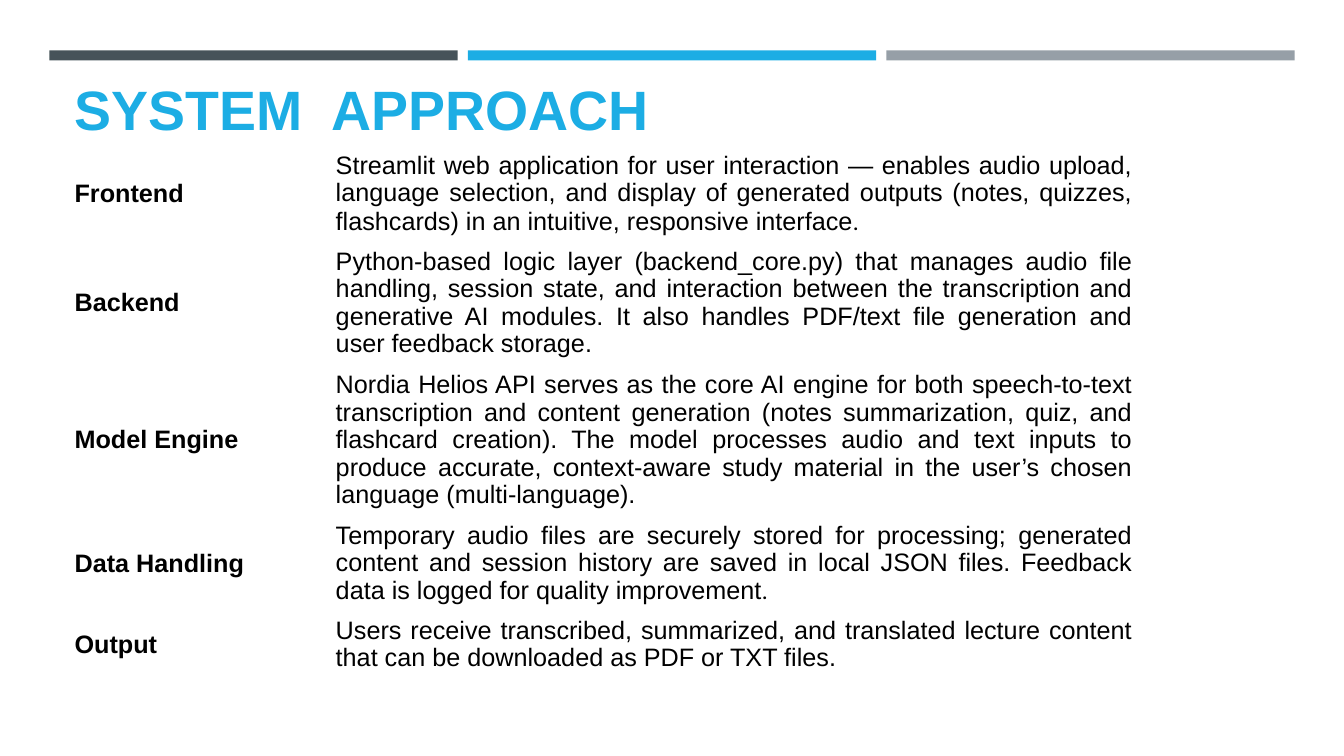
"""Build the System Approach slide: three header bars, a title and a component table."""
from dataclasses import dataclass

from pptx import Presentation
from pptx.dml.color import RGBColor
from pptx.enum.shapes import MSO_SHAPE
from pptx.enum.text import MSO_ANCHOR, MSO_AUTO_SIZE, PP_ALIGN
from pptx.util import Pt

RECTANGLE = MSO_SHAPE.RECTANGLE
BOTTOM, MIDDLE = MSO_ANCHOR.BOTTOM, MSO_ANCHOR.MIDDLE
LEFT, JUSTIFY = PP_ALIGN.LEFT, PP_ALIGN.JUSTIFY
NO_AUTOFIT = MSO_AUTO_SIZE.NONE
EMU_PER_PX = 9144
TITLE_ONLY = 5


@dataclass(frozen=True)
class Theme:
    slate: str = "465359"
    blue: str = "1CADE4"
    grey: str = "969FA7"
    black: str = "000000"
    font: str = "Arial"
    stop_font: str = "Roboto"
    title_size: float = 39.6
    body_size: float = 18
    line_spacing: float = 0.97


THEME = Theme()


def px(length):
    return length * EMU_PER_PX


def format_run(run, size, color, bold, font=THEME.font):
    run.font.name = font
    run.font.size = Pt(size)
    run.font.bold = bold
    run.font.color.rgb = RGBColor.from_string(color)


presentation = Presentation()
presentation.slide_width = px(1333)
presentation.slide_height = px(750)
slide = presentation.slides.add_slide(presentation.slide_layouts[TITLE_ONLY])

for index, color in enumerate((THEME.slate, THEME.blue, THEME.grey)):
    bar = slide.shapes.add_shape(RECTANGLE, px(49 + 415 * index), px(50), px(405), px(10))
    bar.shadow.inherit = False
    bar.fill.solid()
    bar.fill.fore_color.rgb = RGBColor.from_string(color)
    bar.line.fill.background()

title = slide.shapes.title
title.left, title.top, title.width, title.height = px(64), px(87), px(1206), px(58)
title_frame = title.text_frame
title_frame.text = "SYSTEM  APPROACH"
title_frame.auto_size = NO_AUTOFIT
title_frame.vertical_anchor = BOTTOM
title_paragraph = title_frame.paragraphs[0]
title_paragraph.alignment = LEFT
format_run(title_paragraph.runs[0], THEME.title_size, THEME.blue, True)

components = [
    ("Frontend", 95, "Streamlit web application for user interaction — enables audio upload, "
     "language selection, and display of generated outputs (notes, quizzes, flashcards) "
     "in an intuitive, responsive interface", "."),
    ("Backend", 122, "Python-based logic layer (backend_core.py) that manages audio file handling, "
     "session state, and interaction between the transcription and generative AI modules. "
     "It also handles PDF/text file generation and user feedback storage.", ""),
    ("Model Engine", 150, "Nordia Helios API serves as the core AI engine for both speech-to-text "
     "transcription and content generation (notes summarization, quiz, and flashcard creation). "
     "The model processes audio and text inputs to produce accurate, context-aware study "
     "material in the user’s chosen language (multi-language).", ""),
    ("Data Handling", 95, "Temporary audio files are securely stored for processing; generated "
     "content and session history are saved in local JSON files. Feedback data is logged "
     "for quality improvement", "."),
    ("Output", 66, "Users receive transcribed, summarized, and translated lecture content "
     "that can be downloaded as PDF or TXT files.", ""),
]
table_height = sum(height for _, height, _, _ in components)
table = slide.shapes.add_table(
    len(components), 2, px(64), px(145), px(1069), px(table_height)).table
table.first_row = False
table.horz_banding = False
table.columns[0].width = px(259)
table.columns[1].width = px(810)

for row, (name, height, description, stop) in enumerate(components):
    table.rows[row].height = px(height)
    for column, text in enumerate((name, description)):
        cell = table.cell(row, column)
        cell.fill.background()
        cell.vertical_anchor = MIDDLE
        paragraph = cell.text_frame.paragraphs[0]
        paragraph.text = text
        paragraph.alignment = JUSTIFY
        paragraph.line_spacing = THEME.line_spacing
        format_run(paragraph.runs[0], THEME.body_size, THEME.black, column == 0)
    if stop:
        stop_run = paragraph.add_run()
        stop_run.text = stop
        format_run(stop_run, THEME.body_size, THEME.black, False, THEME.stop_font)

presentation.save("out.pptx")
